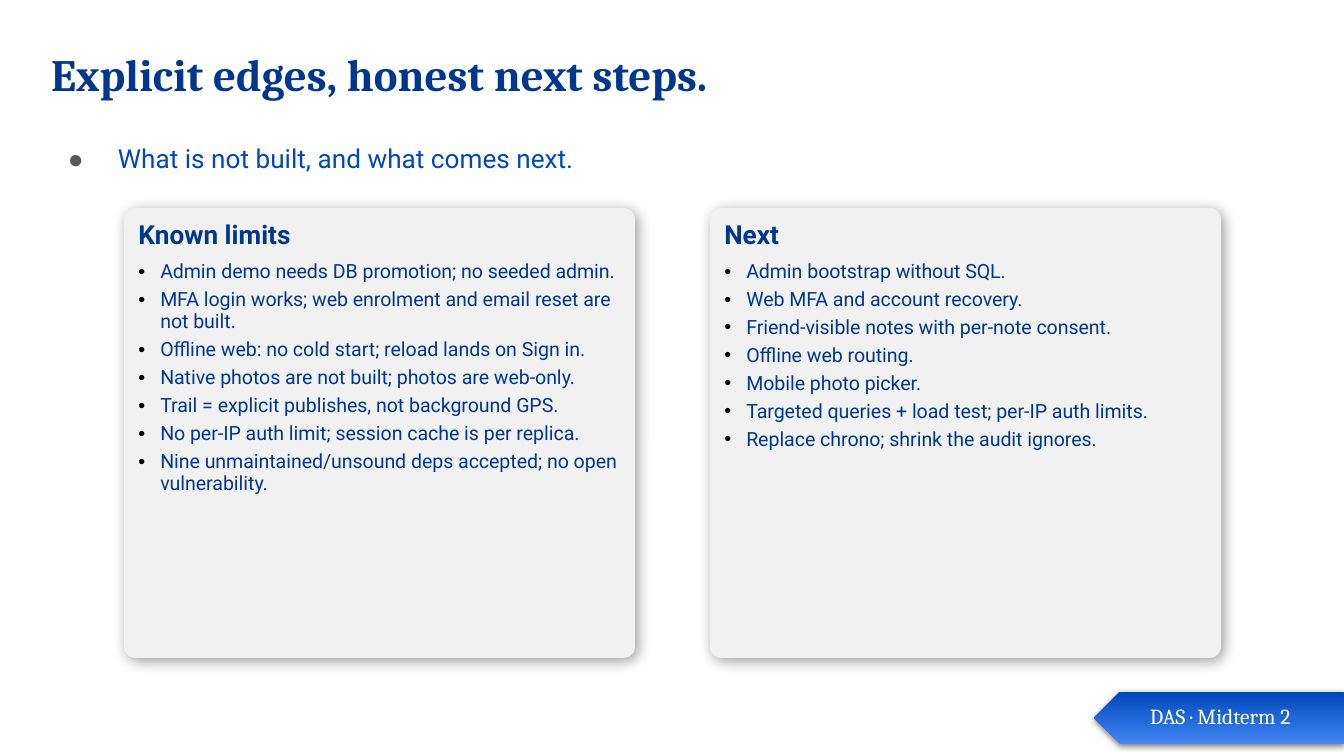
import pptx
import pptx.dml.color
import pptx.enum.shapes
import pptx.enum.text
import pptx.util
from lxml import etree
from pptx.oxml.ns import qn

RGBColor = pptx.dml.color.RGBColor
Pt = pptx.util.Pt
SHAPES = pptx.enum.shapes.MSO_SHAPE
TOP = pptx.enum.text.MSO_ANCHOR.TOP
LEFT = pptx.enum.text.PP_ALIGN.LEFT

NAVY = RGBColor(0x00, 0x37, 0x8E)
BLUE = RGBColor(0x00, 0x48, 0xBA)
SKY = RGBColor(0x42, 0x85, 0xF4)
PANEL = RGBColor(0xF1, 0xF1, 0xF1)
GRAY = RGBColor(0x59, 0x59, 0x59)
BLACK = RGBColor(0, 0, 0)
WHITE = RGBColor(0xFF, 0xFF, 0xFF)
PX = 9144000 / 1344


def write(frame, text, size, color, face="Roboto", bold=False, spacing=1.0,
          after=0, bullet=None, indent=0, hang=0, bullet_color=BLACK):
    """Fill the frame's empty first paragraph, or append a new one."""
    para = frame.paragraphs[0]
    if para.runs:
        para = frame.add_paragraph()
    para.alignment = LEFT
    para.line_spacing = spacing
    para.space_before = Pt(0)
    para.space_after = Pt(after)
    if bullet:
        props = para._p.get_or_add_pPr()
        props.set("marL", str(round(indent * PX)))
        props.set("indent", str(round(-hang * PX)))
        tint = etree.SubElement(props, qn("a:buClr"))
        etree.SubElement(tint, qn("a:srgbClr"), val=str(bullet_color))
        etree.SubElement(props, qn("a:buFont"), typeface="Arial")
        etree.SubElement(props, qn("a:buChar"), char=bullet)
    span = para.add_run()
    span.text = text
    span.font.name = face
    span.font.size = Pt(size)
    span.font.bold = bold
    span.font.color.rgb = color


def cast_shadow(shape, alpha, blur, distance, angle):
    shape.shadow.inherit = False
    effects = shape._element.spPr.find(qn("a:effectLst"))
    outer = etree.SubElement(
        effects, qn("a:outerShdw"), blurRad=str(Pt(blur)), dist=str(Pt(distance)),
        dir=str(angle * 60000), algn="bl", rotWithShape="0")
    tint = etree.SubElement(outer, qn("a:srgbClr"), val=str(BLACK))
    etree.SubElement(tint, qn("a:alpha"), val=str(alpha * 1000))


deck = pptx.Presentation()
deck.slide_width = round(1344 * PX)
deck.slide_height = round(756 * PX)
page = deck.slides.add_slide(deck.slide_layouts[5])

# Title and subtitle
title = page.shapes.title
title.left, title.top, title.width, title.height = [
    round(n * PX) for n in (38, 40, 1253, 90)]
subtitle = page.shapes.add_textbox(
    *[round(n * PX) for n in (38, 132, 1253, 72)])
for box in (title, subtitle):
    frame = box.text_frame
    frame.word_wrap = True
    frame.auto_size = pptx.enum.text.MSO_AUTO_SIZE.NONE
    frame.vertical_anchor = TOP
    frame.margin_left = frame.margin_right = round(13 * PX)
    frame.margin_top = frame.margin_bottom = round(13 * PX)
write(title.text_frame, "Explicit edges, honest next steps.", 24, NAVY,
      face="Cambria", bold=True, spacing=0.9)
write(subtitle.text_frame, "What is not built, and what comes next.", 14, BLUE,
      spacing=0.95, bullet="●", indent=67, hang=50, bullet_color=GRAY)

# Two cards
CARDS = [
    ("Known limits", [
        "Admin demo needs DB promotion; no seeded admin.",
        "MFA login works; web enrolment and email reset are not built.",
        "Offline web: no cold start; reload lands on Sign in.",
        "Native photos are not built; photos are web-only.",
        "Trail = explicit publishes, not background GPS.",
        "No per-IP auth limit; session cache is per replica.",
        "Nine unmaintained/unsound deps accepted; no open vulnerability.",
    ]),
    ("Next", [
        "Admin bootstrap without SQL.",
        "Web MFA and account recovery.",
        "Friend-visible notes with per-note consent.",
        "Offline web routing.",
        "Mobile photo picker.",
        "Targeted queries + load test; per-IP auth limits.",
        "Replace chrono; shrink the audit ignores.",
    ]),
]
for column, (heading, points) in enumerate(CARDS):
    card = page.shapes.add_shape(
        SHAPES.ROUNDED_RECTANGLE,
        *[round(n * PX) for n in (124 + 586 * column, 208, 511, 450)])
    card.adjustments[0] = 0.025
    card.fill.solid()
    card.fill.fore_color.rgb = PANEL
    card.line.fill.background()
    cast_shadow(card, 40, 7.9, 2.4, 45)
    frame = card.text_frame
    frame.word_wrap = True
    frame.vertical_anchor = TOP
    frame.margin_left, frame.margin_top = round(11 * PX), round(7 * PX)
    frame.margin_right, frame.margin_bottom = round(8 * PX), round(4 * PX)
    write(frame, heading, 14, NAVY, bold=True, after=6)
    for point in points:
        write(frame, point, 10.5, NAVY, spacing=0.95, after=3,
              bullet="•", indent=22, hang=22)

# Corner tag
tag = page.shapes.add_group_shape()
arrow = tag.shapes.add_shape(
    SHAPES.PENTAGON, *[round(n * PX) for n in (1094, 692, 250, 52)])
arrow.rotation = 180
arrow.fill.gradient()
arrow.fill.gradient_angle = 270
for stop, color in zip(arrow.fill.gradient_stops, (SKY, BLUE)):
    stop.color.rgb = color
arrow.line.fill.background()
cast_shadow(arrow, 50, 3.4, 1.1, 90)

label = tag.shapes.add_textbox(*[round(n * PX) for n in (1139, 692, 183, 51)])
frame = label.text_frame
frame.word_wrap = True
frame.margin_left = frame.margin_right = round(11 * PX)
frame.margin_top = frame.margin_bottom = round(11 * PX)
write(frame, "DAS · Midterm 2", 11.5, WHITE, face="Cambria")

deck.save("out.pptx")
